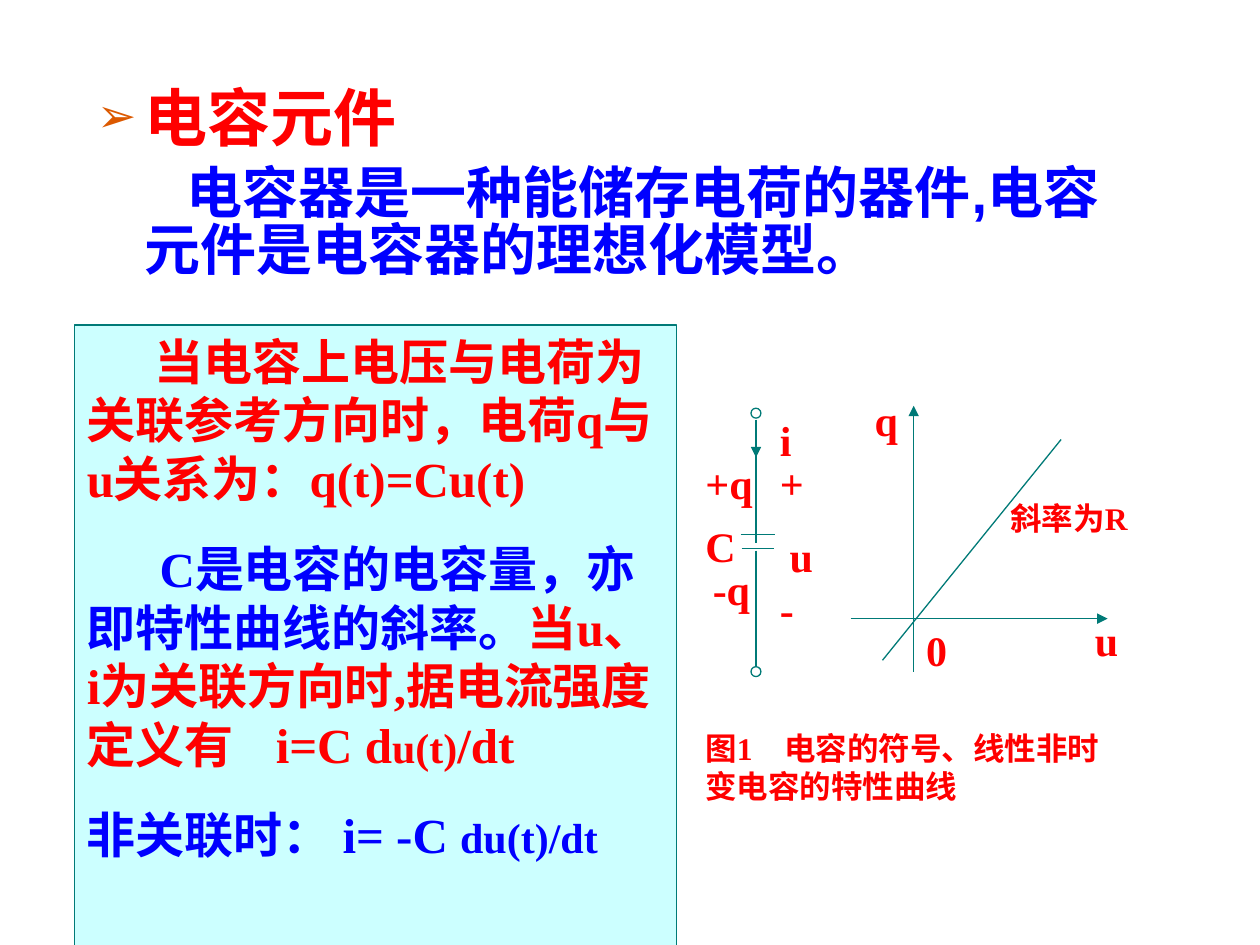
import pptx
import pptx.util
import pptx.dml.color
import pptx.enum.shapes
import pptx.enum.text
import pptx.oxml.ns
from lxml import etree

Cm, Pt = pptx.util.Cm, pptx.util.Pt
HUES = {"red": "FF0000", "blue": "0000FF", "teal": "007A77",
        "pale": "CCFFFF", "white": "FFFFFF", "rust": "DC5900"}
SERIF = "Times New Roman"


def hue(name):
    return pptx.dml.color.RGBColor.from_string(HUES[name])


def add_tag(parent, tag, **attrs):
    return etree.SubElement(parent, pptx.oxml.ns.qn("a:" + tag), attrs)


def write(par, text, size=28, color="red", face=SERIF):
    run = par.add_run()
    run.text = text
    font = run.font
    font.size, font.name, font.bold = Pt(size), face, True
    font.color.rgb = hue(color)


def indent(par, first, left=0):
    props = par._p.get_or_add_pPr()
    props.set("marL", str(Cm(left)))
    props.set("indent", str(Cm(first)))


def set_tabs(par, *stops):
    tabs = add_tag(par._p.get_or_add_pPr(), "tabLst")
    for stop in stops:
        add_tag(tabs, "tab", pos=str(Cm(stop)), algn="l")


def set_frame(shape):
    frame = shape.text_frame
    frame.word_wrap = True
    frame.auto_size = pptx.enum.text.MSO_AUTO_SIZE.NONE
    frame.vertical_anchor = pptx.enum.text.MSO_ANCHOR.TOP
    return frame


def label(shapes, x, y, wide, text, size=24, high=1.27, tab=None):
    box = shapes.add_textbox(Cm(x), Cm(y), Cm(wide), Cm(high))
    par = set_frame(box).paragraphs[0]
    if tab:
        set_tabs(par, tab)
    write(par, text, size)


def line(shapes, x1, y1, x2, y2, arrow=False):
    wire = shapes.add_connector(pptx.enum.shapes.MSO_CONNECTOR.STRAIGHT,
                                Cm(x1), Cm(y1), Cm(x2), Cm(y2))
    wire.line.color.rgb = hue("teal")
    wire.line.width = Pt(0.75)
    if arrow:
        add_tag(wire.line._get_or_add_ln(), "tailEnd", type="triangle")
    add_tag(wire._element.spPr, "effectLst")


def shape(shapes, kind, x, y, wide, high, fill):
    item = shapes.add_shape(kind, Cm(x), Cm(y), Cm(wide), Cm(high))
    item.shadow.inherit = False
    item.fill.solid()
    item.fill.fore_color.rgb = hue(fill)
    item.line.color.rgb = hue("teal")
    item.line.width = Pt(0.75)
    return item


def intro(body, x, y, wide, high):
    body.left, body.top, body.width, body.height = Cm(x), Cm(y), Cm(wide), Cm(high)
    frame = set_frame(body)

    # Heading with its arrow bullet
    head = frame.paragraphs[0]
    indent(head, -0.96, 0.96)
    props = head._p.get_or_add_pPr()
    add_tag(add_tag(props, "buClr"), "srgbClr", val=HUES["rust"])
    add_tag(props, "buSzPct", val="75000")
    add_tag(props, "buChar", char="➢")
    head.space_before = Pt(0)
    write(head, "电容元件", 36, face="Arial")

    # Definition
    par = frame.add_paragraph()
    indent(par, 0.85, 0.96)
    add_tag(par._p.get_or_add_pPr(), "buNone")
    par.space_before = Pt(8)
    write(par, "电容器是一种能储存电荷的器件,电容元件是电容器的理想化模型。",
          32, "blue", "Arial")
    for each in frame.paragraphs:
        each.line_spacing = 0.85


def panel(shapes, x, y, wide, high):
    box = shape(shapes, pptx.enum.shapes.MSO_SHAPE.RECTANGLE,
                x, y, wide, high, "pale")
    frame = set_frame(box)
    # First-line indent, tab stops, runs
    parts = [
        (1.37, (), [("当电容上电压与电荷为关联参考方向时，电荷q与u关系为：q(t)=Cu(t)", 28, "red")]),
        (1.47, (6.59, 10.48), [
            ("C是电容的电容量，亦即特性曲线的斜率。", 28, "blue"),
            ("\t当u、i为关联方向时,据电流强度定义有\ti=C d", 28, "red"),
            ("u(t)", 24, "red"), ("/dt", 28, "red")]),
        (0, (), [("非关联时： i= -C ", 28, "blue"), ("du(t)/dt", 24, "blue")]),
    ]
    for n, (first, stops, runs) in enumerate(parts):
        par = frame.add_paragraph() if n else frame.paragraphs[0]
        par.alignment = pptx.enum.text.PP_ALIGN.LEFT
        par.space_before = Pt(17.5 if n else 0)
        indent(par, first)
        if stops:
            set_tabs(par, *stops)
        for run in runs:
            write(par, *run)


def symbol(shapes, x, y):
    group = shapes.add_group_shape().shapes
    mid, dot = x + 1.27, 0.2
    # Wires, plates and current arrow
    for x1, y1, x2, y2, arrow in [
            (1.27, 0.23, 1.27, 2.72, False), (0.96, 2.54, 1.65, 2.54, False),
            (0.98, 2.82, 1.63, 2.82, False), (1.27, 2.87, 1.27, 5.26, False),
            (1.27, 0.36, 1.27, 0.99, True)]:
        line(group, x + x1, y + y1, x + x2, y + y2, arrow)
    # Terminals
    for top in (0, 5.21):
        shape(group, pptx.enum.shapes.MSO_SHAPE.OVAL,
              mid - dot / 2, y + top, dot, dot, "white")
    for dx, dy, wide, text in [
            (1.5, 0, 1.07, "i"), (1.5, 0.86, 1.07, "+"), (1.7, 2.34, 1.07, "u"),
            (1.5, 3.4, 1.07, "-"), (0, 0.86, 1.47, "+q"), (0, 2.13, 1.07, "C"),
            (0.15, 3, 1.27, "-q")]:
        label(group, x + dx, y + dy, wide, text)


def graph(shapes, x, y):
    group = shapes.add_group_shape().shapes
    # Axes and characteristic line
    line(group, x, y + 4.65, x + 5.18, y + 4.65, True)
    line(group, x + 1.27, y + 5.72, x + 1.27, y + 0.36, True)
    line(group, x + 0.64, y + 5.49, x + 4.24, y + 1.04)
    for dx, dy, wide, text in [
            (0.23, 0, 1.27, "q"), (1.27, 4.65, 1.27, "0"), (4.67, 4.45, 1.07, "u")]:
        label(group, x + dx, y + dy, wide, text)
    label(group, x + 2.97, y + 2.11, 3.38, "斜率为R", 18, 1.02)


def main():
    deck = pptx.Presentation()
    deck.slide_width, deck.slide_height = Cm(25.4), Cm(19.05)
    slide = deck.slides.add_slide(deck.slide_layouts[1])
    title = slide.shapes.title._element
    title.getparent().remove(title)

    intro(slide.placeholders[1], 1.7, 1.68, 21.8, 4.88)
    panel(slide.shapes, 1.5, 6.55, 12.14, 13.36)
    symbol(slide.shapes, 13.97, 8.23)
    graph(slide.shapes, 17.15, 7.82)
    label(slide.shapes, 13.97, 14.58, 8.69,
          "图1\t电容的符号、线性非时变电容的特性曲线", 18, 1.78, 1.59)
    deck.save("out.pptx")


if __name__ == "__main__":
    main()
